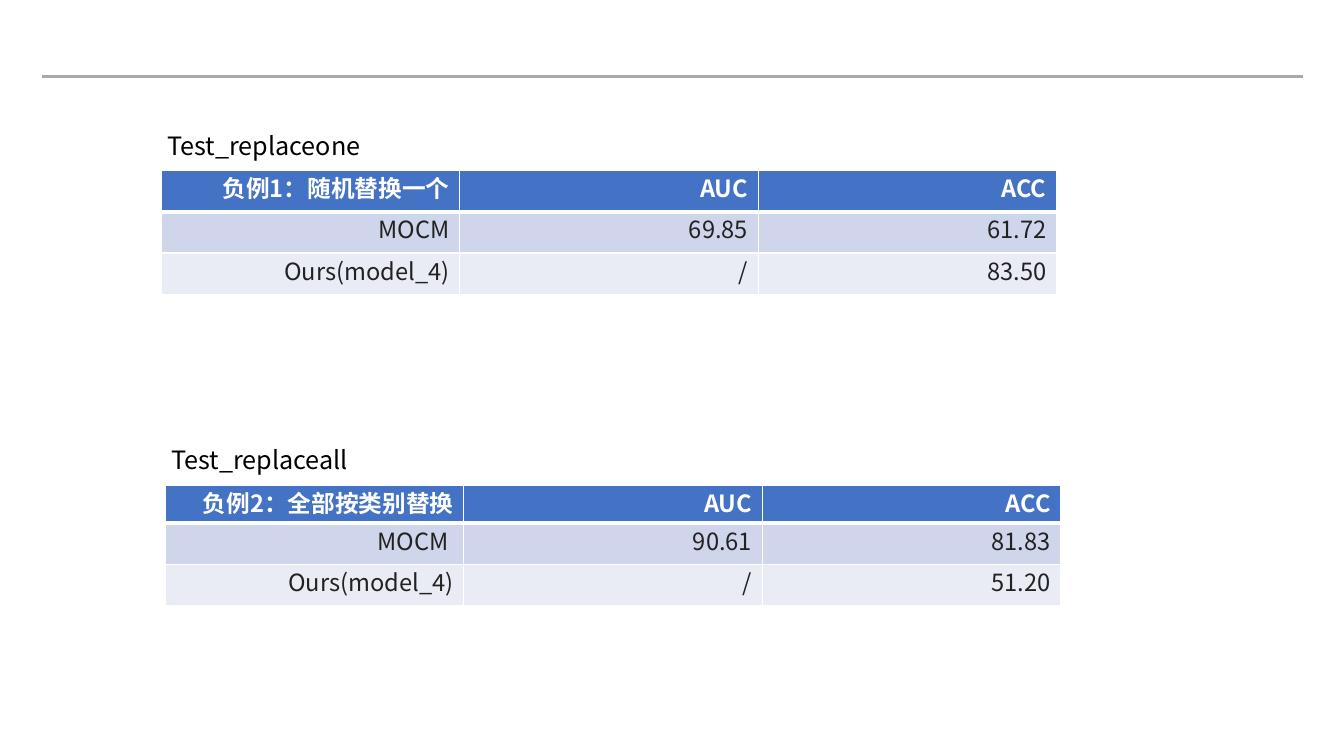
import pptx
import pptx.util
import pptx.dml.color
import pptx.enum.shapes
import pptx.enum.text
import pptx.oxml
import pptx.oxml.ns

Inches = pptx.util.Inches
Pt = pptx.util.Pt
RGB = pptx.dml.color.RGBColor
Align = pptx.enum.text.PP_ALIGN

FONT = "Noto Sans CJK SC"
WHITE = RGB(0xFF, 0xFF, 0xFF)
BLACK = RGB(0, 0, 0)
INK = RGB(0x22, 0x22, 0x22)
GREY = RGB(0xA6, 0xAA, 0xA9)
BANDS = [RGB(0x44, 0x72, 0xC4), RGB(0xCF, 0xD5, 0xEA), RGB(0xE9, 0xEB, 0xF5)]
NS = pptx.oxml.ns.nsdecls("a")
COL = 2.96
ROW = 0.41


def write(frame, text, size=18, color=BLACK, bold=False, align=Align.LEFT, space=None):
    para = frame.paragraphs[0]
    para.alignment = align
    para.line_spacing = space
    run = para.add_run()
    run.text = text
    run.font.size = Pt(size)
    run.font.bold = bold
    run.font.color.rgb = color
    run.font.name = FONT
    run.font._element.append(pptx.oxml.parse_xml(f'<a:ea {NS} typeface="{FONT}"/>'))


def edge(cell, **widths):
    """Draw white cell borders, given as L, R, T and B widths in points."""
    props = cell._tc.get_or_add_tcPr()
    for i, (side, width) in enumerate(widths.items()):
        props.insert(i, pptx.oxml.parse_xml(
            f'<a:ln{side} {NS} w="{Pt(width)}"><a:solidFill>'
            f'<a:srgbClr val="{WHITE}"/></a:solidFill></a:ln{side}>'))


deck = pptx.Presentation()
deck.slide_width = Inches(13.33)
deck.slide_height = Inches(7.5)
slide = deck.slides.add_slide(deck.slide_layouts[6])
shapes = slide.shapes

rule = shapes.add_connector(pptx.enum.shapes.MSO_CONNECTOR.STRAIGHT,
                            Inches(0.42), Inches(0.76), Inches(12.92), Inches(0.76))
rule.line.color.rgb = GREY
rule.line.width = Pt(2)
rule._element.spPr.append(pptx.oxml.parse_xml(f"<a:effectLst {NS}/>"))

# title, left, title top, table top, head height, rows
tests = [
    ("Test_replaceone", 1.6, 1.24, 1.69, ROW,
     [("负例1：随机替换一个", "AUC", "ACC"),
      ("MOCM", "69.85", "61.72"),
      ("Ours(model_4)", "/", "83.50")]),
    ("Test_replaceall", 1.64, 4.36, 4.82, 0.37,
     [("负例2：全部按类别替换", "AUC", "ACC"),
      ("MOCM ", "90.61", "81.83"),
      ("Ours(model_4)", "/", "51.20")]),
]

for title, left, top, start, head, rows in tests:
    heights = [head, ROW, ROW]
    grid = shapes.add_table(3, 3, Inches(left), Inches(start),
                            Inches(3 * COL), Inches(sum(heights))).table
    for col in grid.columns:
        col.width = Inches(COL)
    for r, row in enumerate(rows):
        grid.rows[r].height = Inches(heights[r])
        for c, text in enumerate(row):
            cell = grid.cell(r, c)
            cell.fill.solid()
            cell.fill.fore_color.rgb = BANDS[r]
            edge(cell, L=1, R=1, T=3 if r == 1 else 1, B=3 if r == 0 else 1)
            write(cell.text_frame, text, size=16.9, color=INK if r else WHITE,
                  bold=r == 0, align=Align.RIGHT, space=0.8)

    label = shapes.add_textbox(Inches(left - 0.04), Inches(top), Inches(6.66), Inches(0.4))
    label.text_frame.word_wrap = True
    label.text_frame.auto_size = pptx.enum.text.MSO_AUTO_SIZE.SHAPE_TO_FIT_TEXT
    write(label.text_frame, title)

deck.save("out.pptx")
